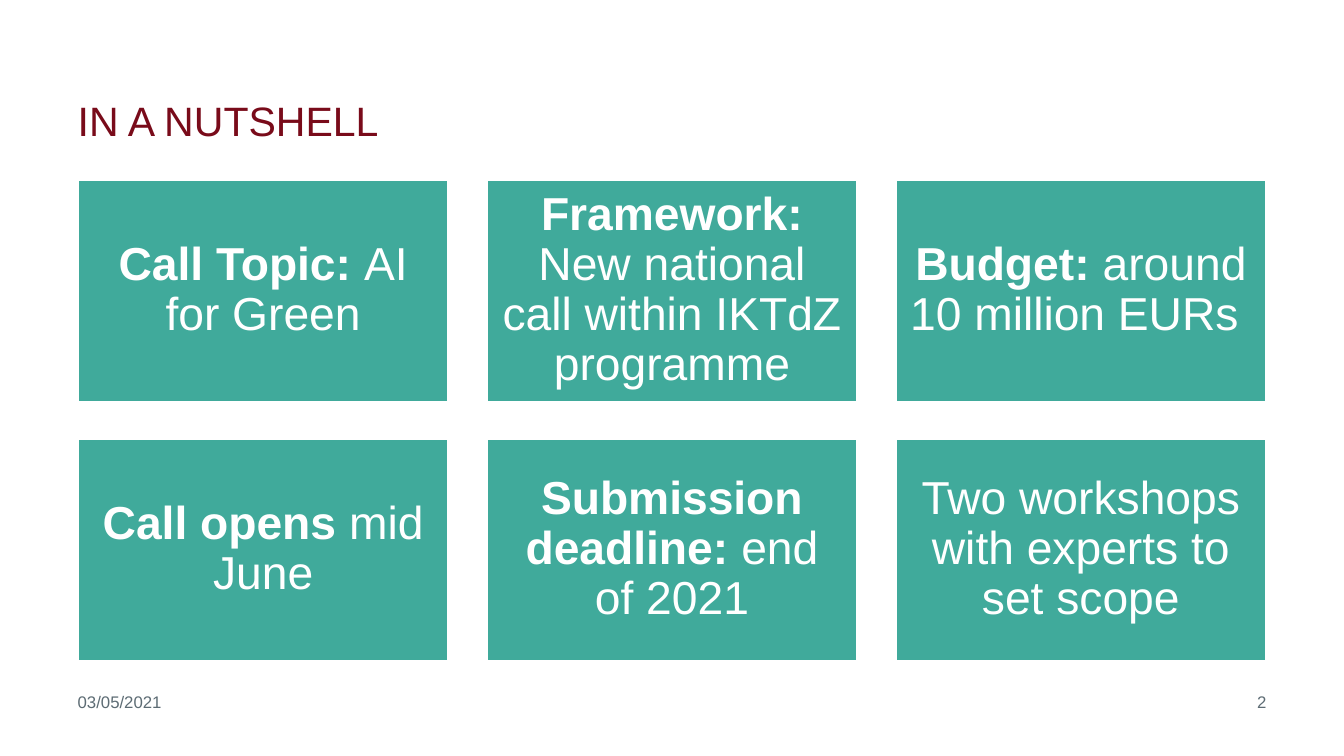
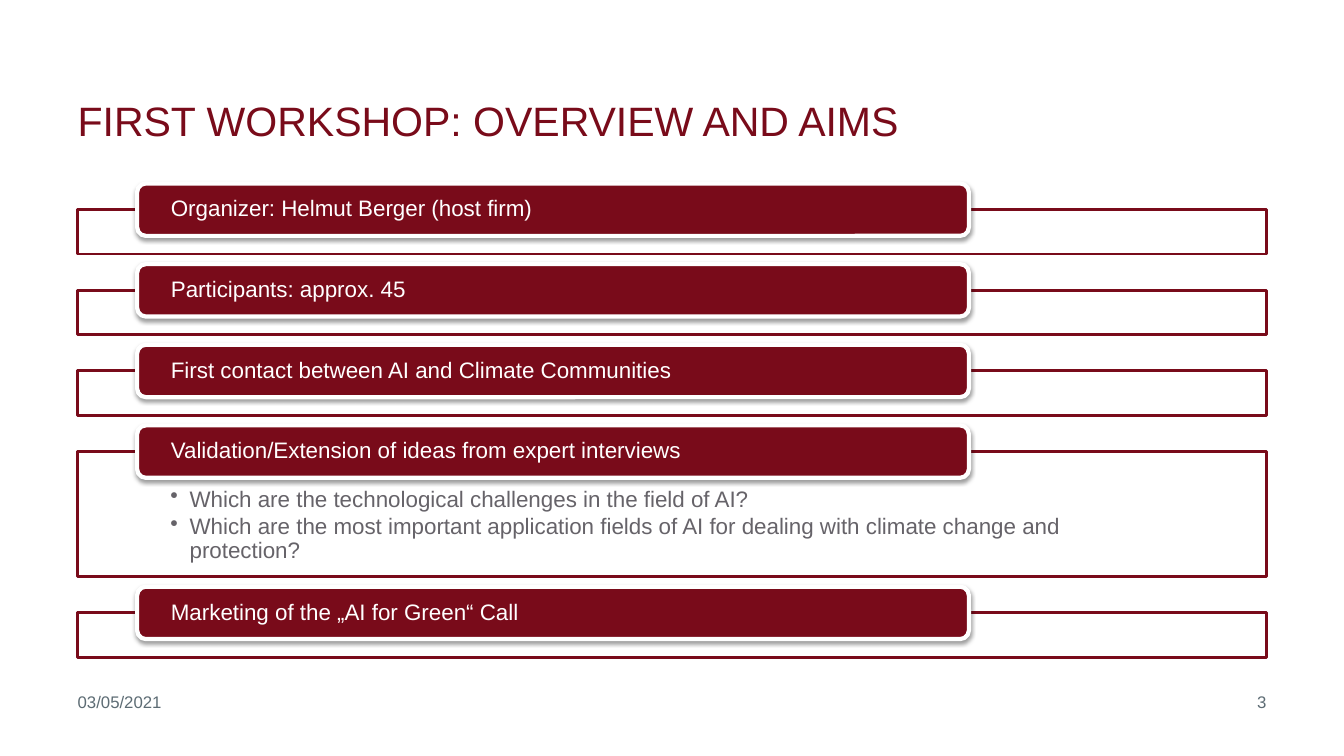
from dataclasses import dataclass

from lxml.etree import SubElement as Sub
from pptx import Presentation
from pptx.dml.color import RGBColor as Rgb
from pptx.enum.shapes import MSO_SHAPE as Kind
from pptx.enum.text import MSO_ANCHOR as Anchor, PP_ALIGN as Align
from pptx.oxml.ns import qn
from pptx.shapes.autoshape import Shape
from pptx.slide import Slide
from pptx.util import Inches, Pt

# Shared look
FONT = "Arial"
HUES = {
    "wine": "790B1A",
    "teal": "40AA9B",
    "white": "FFFFFF",
    "slate": "5D6C74",
    "gray": "666369",
    "black": "000000",
}
LEFT, WIDE = 0.77, 11.79
DATE = "03/05/2021"


@dataclass
class Box:
    x: float
    y: float
    w: float
    h: float


@dataclass
class Type:
    size: float
    hue: str
    align: Align = Align.LEFT
    anchor: Anchor = Anchor.TOP
    pad: tuple[float, float, float, float] = (0, 0, 0, 0)
    lines: float = 1.0
    after: float = 0
    bullet: bool = False


@dataclass
class Card:
    head: str
    body: str


@dataclass
class Topic:
    name: str
    high: float = 0.44
    points: tuple[str, ...] = ()


TITLE = Type(29.3, "wine", anchor=Anchor.BOTTOM)
DAY = Type(12, "slate")
PAGE = Type(12, "slate", Align.RIGHT)
CARD = Type(33, "white", Align.CENTER, Anchor.MIDDLE, (0.14,) * 4, 0.9)
TAB = Type(16, "white", anchor=Anchor.MIDDLE, pad=(0.31, 0, 0.31, 0), lines=0.9)
POINT = Type(16, "gray", pad=(0.92, 0.36, 0.92, 0.12), lines=0.9, after=2.5,
             bullet=True)

# Slide content
CARDS = [
    Card("Call Topic: ", "AI for Green"),
    Card("Framework: ", "New national call within IKTdZ programme"),
    Card("Budget: ", "around 10 million EURs "),
    Card("Call opens ", "mid June"),
    Card("Submission deadline: ", "end of 2021"),
    Card("", "Two workshops with experts to set scope"),
]
TOPICS = [
    Topic("Organizer: Helmut Berger (host firm)"),
    Topic("Participants: approx. 45"),
    Topic("First contact between AI and Climate Communities"),
    Topic("Validation/Extension of ideas from expert interviews", 1.24, (
        "Which are the technological challenges in the field of AI?",
        "Which are the most important application fields of AI for dealing "
        "with climate change and protection?",
    )),
    Topic("Marketing of the „AI for Green“ Call"),
]


def color(name: str) -> Rgb:
    return Rgb.from_string(HUES[name])


def spot(box: Box) -> tuple[Inches, ...]:
    return tuple(Inches(n) for n in (box.x, box.y, box.w, box.h))


def write(shape: Shape, look: Type, *paras: list[tuple[str, bool]]) -> None:
    """Fill a shape with paragraphs of (text, bold) runs."""
    frame = shape.text_frame
    frame.word_wrap = True
    frame.vertical_anchor = look.anchor
    (frame.margin_left, frame.margin_top,
     frame.margin_right, frame.margin_bottom) = (Inches(n) for n in look.pad)
    for i, runs in enumerate(paras):
        para = frame.add_paragraph() if i else frame.paragraphs[0]
        para.alignment = look.align
        para.line_spacing = look.lines
        para.space_after = Pt(look.after)
        if look.bullet:
            props = para._p.get_or_add_pPr()
            props.set("marL", str(Inches(0.19)))
            props.set("indent", str(Inches(-0.19)))
            Sub(props, qn("a:buChar"), char="•")
        for text, bold in runs:
            run = para.add_run()
            run.text = text
            font = run.font
            font.name, font.size, font.bold = FONT, Pt(look.size), bold
            font.color.rgb = color(look.hue)


def label(slide: Slide, box: Box, look: Type, text: str) -> None:
    write(slide.shapes.add_textbox(*spot(box)), look, [(text, False)])


def block(slide: Slide, kind: Kind, box: Box, fill: str, line: str,
          width: float) -> Shape:
    shape = slide.shapes.add_shape(kind, *spot(box))
    shape.shadow.inherit = False
    shape.fill.solid()
    shape.fill.fore_color.rgb = color(fill)
    shape.line.color.rgb = color(line)
    shape.line.width = Pt(width)
    return shape


def shade(shape: Shape) -> None:
    """Cast a soft shadow straight down."""
    fx = shape.element.spPr.find(qn("a:effectLst"))
    cast = Sub(fx, qn("a:outerShdw"), blurRad=str(Pt(3.1)), dist=str(Pt(1.6)),
               dir="5400000", rotWithShape="0")
    tint = Sub(cast, qn("a:srgbClr"), val=HUES["black"])
    Sub(tint, qn("a:alpha"), val="38000")


def start(deck: Presentation, title: str, page: int) -> Slide:
    """Add a slide with title, date and page number."""
    slide = deck.slides.add_slide(deck.slide_layouts[6])
    label(slide, Box(LEFT, 0.39, 9.15, 1.05), TITLE, title)
    label(slide, Box(9.9, 6.86, 2.66, 0.25), PAGE, str(page))
    label(slide, Box(LEFT, 6.86, 2.78, 0.25), DAY, DATE)
    return slide


def grid(slide: Slide) -> None:
    """Lay the cards out in rows of three."""
    cols, wide, high = 3, 3.68, 2.21
    step = (WIDE - wide) / (cols - 1)
    for i, card in enumerate(CARDS):
        row, col = divmod(i, cols)
        box = Box(LEFT + col * step, 1.78 + row * 2.57, wide, high)
        shape = block(slide, Kind.RECTANGLE, box, "teal", "white", 2)
        runs = [(card.head, True), (card.body, False)]
        write(shape, CARD, [run for run in runs if run[0]])


def stack(slide: Slide) -> None:
    """Stack the panels, each with a tab over its top edge."""
    top, gap = 2.08, 0.36
    for topic in TOPICS:
        box = Box(LEFT, top, WIDE, topic.high)
        panel = block(slide, Kind.RECTANGLE, box, "white", "wine", 2)
        if topic.points:
            write(panel, POINT, *([(text, False)] for text in topic.points))
        box = Box(1.36, top - 0.26, 8.25, 0.52)
        tab = block(slide, Kind.ROUNDED_RECTANGLE, box, "wine", "white", 3)
        shade(tab)
        write(tab, TAB, [(topic.name, False)])
        top += topic.high + gap


def main() -> None:
    deck = Presentation()
    deck.slide_width, deck.slide_height = Inches(13.33), Inches(7.5)
    grid(start(deck, "IN A NUTSHELL", 2))
    stack(start(deck, "FIRST WORKSHOP: OVERVIEW AND AIMS", 3))
    deck.save("out.pptx")


if __name__ == "__main__":
    main()
